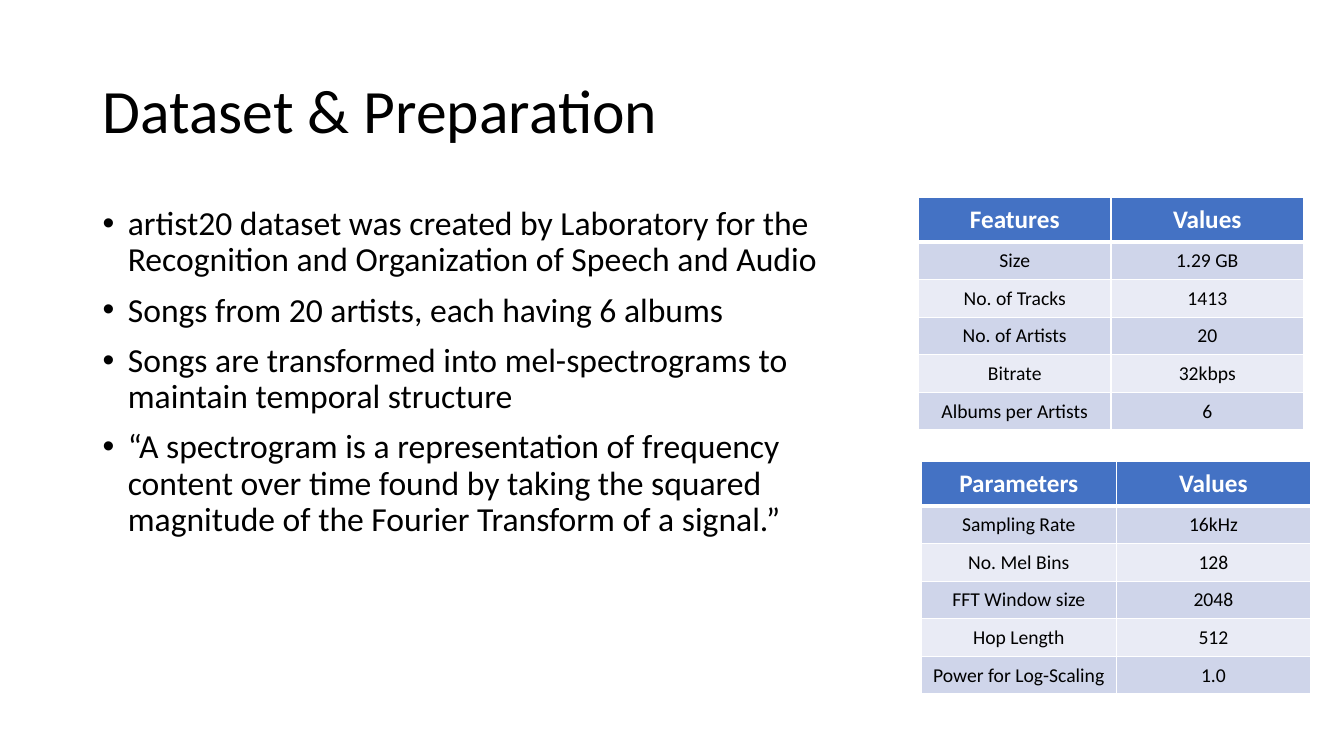
from lxml import etree
from pptx import Presentation
from pptx.dml.color import RGBColor
from pptx.enum.text import MSO_ANCHOR, PP_ALIGN
from pptx.oxml.ns import qn
from pptx.util import Inches, Pt

MIDDLE, TOP, CENTER = MSO_ANCHOR.MIDDLE, MSO_ANCHOR.TOP, PP_ALIGN.CENTER

# Content
TITLE = "Dataset & Preparation"
POINTS = [
    "artist20 dataset was created by Laboratory for the Recognition and "
    "Organization of Speech and Audio",
    "Songs from 20 artists, each having 6 albums",
    "Songs are transformed into mel-spectrograms to maintain temporal structure",
    "“A spectrogram is a representation of frequency content over time found by "
    "taking the squared magnitude of the Fourier Transform of a signal.”",
]
FEATURES = [
    ("Features", "Values"),
    ("Size", "1.29 GB"),
    ("No. of Tracks", "1413"),
    ("No. of Artists", "20"),
    ("Bitrate", "32kbps"),
    ("Albums per Artists", "6"),
]
PARAMETERS = [
    ("Parameters", "Values"),
    ("Sampling Rate", "16kHz"),
    ("No. Mel Bins", "128"),
    ("FFT Window size", "2048"),
    ("Hop Length", "512"),
    ("Power for Log-Scaling", "1.0"),
]
# Left, top and column width of each table
TABLES = [(FEATURES, 9.11, 1.96, 1.91), (PARAMETERS, 9.14, 4.58, 1.93)]

FONT = "Calibri"
COLORS = {"text": "000000", "white": "FFFFFF", "header": "4472C4",
          "odd": "CFD5EA", "even": "E9EBF5"}
HEADER_HEIGHT, ROW_HEIGHT, CELL_MARGIN = 0.43, 0.37, 0.07
INDENT = Inches(0.25)


def rgb(name):
    return RGBColor.from_string(COLORS[name])


def style(paragraph, size, color="text", bold=False):
    for run in paragraph.runs:
        font = run.font
        font.name, font.size, font.bold = FONT, Pt(size), bold
        font.color.rgb = rgb(color)


def add_text(slide, box, lines, size, anchor):
    frame = slide.shapes.add_textbox(*map(Inches, box)).text_frame
    frame.word_wrap = True
    frame.vertical_anchor = anchor
    frame.text = "\n".join(lines)
    for paragraph in frame.paragraphs:
        paragraph.line_spacing = 0.9
        style(paragraph, size)
    return frame.paragraphs


def add_bullet(paragraph):
    props = paragraph._p.get_or_add_pPr()
    props.set("marL", str(INDENT))
    props.set("indent", str(-INDENT))
    etree.SubElement(props, qn("a:buFont")).set("typeface", "Arial")
    etree.SubElement(props, qn("a:buChar")).set("char", "•")


def add_borders(cell, top, bottom):
    props = cell._tc.get_or_add_tcPr()
    for side, width in (("L", 1), ("R", 1), ("T", top), ("B", bottom)):
        line = etree.SubElement(props, qn("a:ln" + side), w=str(Pt(width)))
        fill = etree.SubElement(line, qn("a:solidFill"))
        etree.SubElement(fill, qn("a:srgbClr")).set("val", COLORS["white"])


def add_data_table(slide, rows, left, top, column_width):
    height = HEADER_HEIGHT + ROW_HEIGHT * (len(rows) - 1)
    box = (left, top, column_width * len(rows[0]), height)
    table = slide.shapes.add_table(len(rows), len(rows[0]), *map(Inches, box)).table
    for column in table.columns:
        column.width = Inches(column_width)
    for r, values in enumerate(rows):
        header = r == 0
        table.rows[r].height = Inches(HEADER_HEIGHT if header else ROW_HEIGHT)
        for c, value in enumerate(values):
            cell = table.cell(r, c)
            cell.margin_left = cell.margin_right = Inches(CELL_MARGIN)
            cell.margin_top = cell.margin_bottom = Inches(CELL_MARGIN)
            add_borders(cell, top=3 if r == 1 else 1, bottom=3 if header else 1)
            cell.fill.solid()
            cell.fill.fore_color.rgb = rgb("header" if header else "odd" if r % 2 else "even")
            cell.text = value
            paragraph = cell.text_frame.paragraphs[0]
            paragraph.alignment = CENTER
            if header:
                style(paragraph, 18, "white", bold=True)
            else:
                style(paragraph, 14)


def main():
    prs = Presentation()
    prs.slide_width, prs.slide_height = Inches(13.33), Inches(7.5)
    slide = prs.slides.add_slide(prs.slide_layouts[6])

    # Title
    add_text(slide, (0.92, 0.4, 11.5, 1.45), [TITLE], 44, MIDDLE)

    # Bullet points
    points = add_text(slide, (0.92, 2, 7.9, 4.76), POINTS, 24, TOP)
    for i, point in enumerate(points):
        if i:
            point.space_before = Pt(10)
        add_bullet(point)

    # Dataset and spectrogram tables
    for table in TABLES:
        add_data_table(slide, *table)

    prs.save("out.pptx")


if __name__ == "__main__":
    main()
